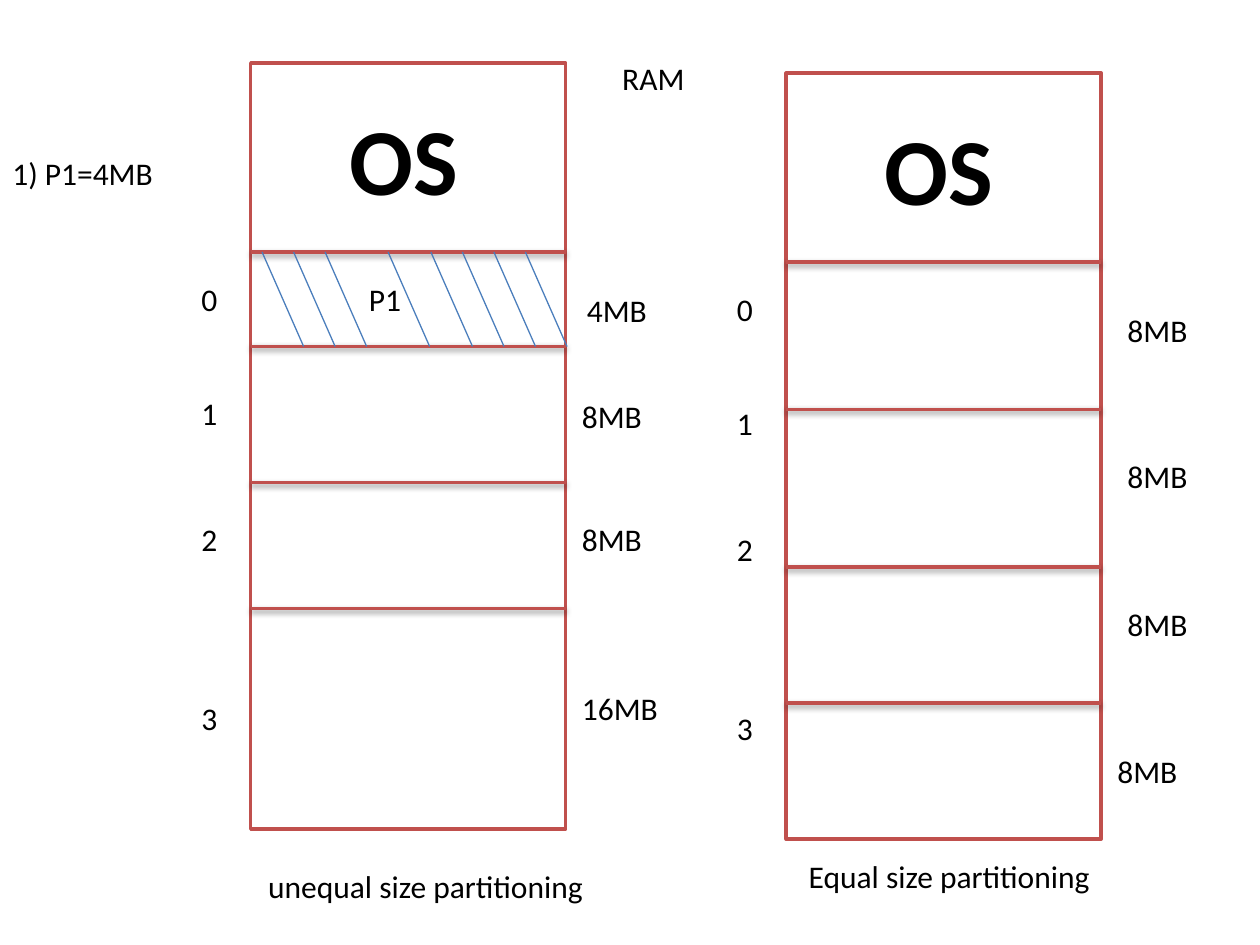
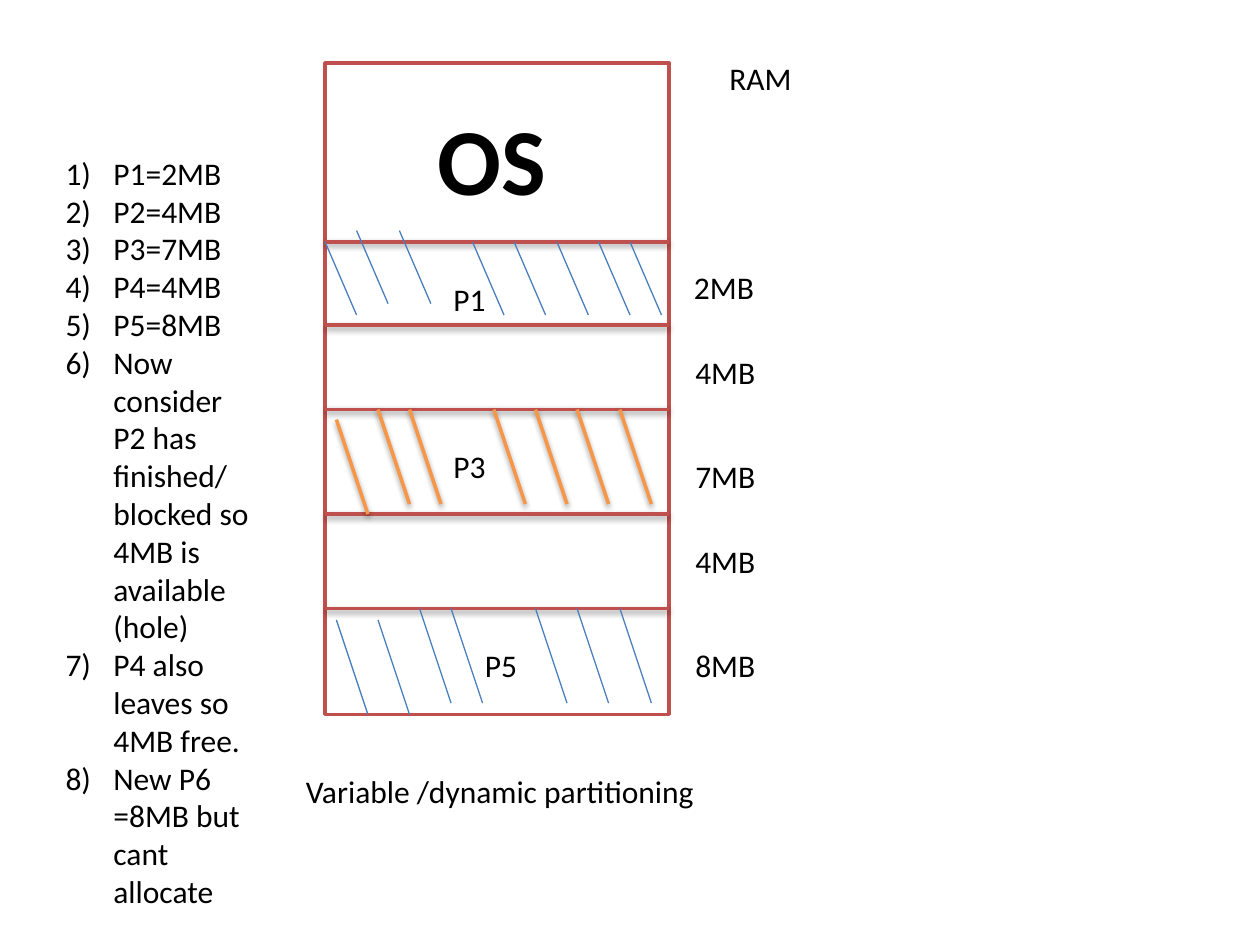
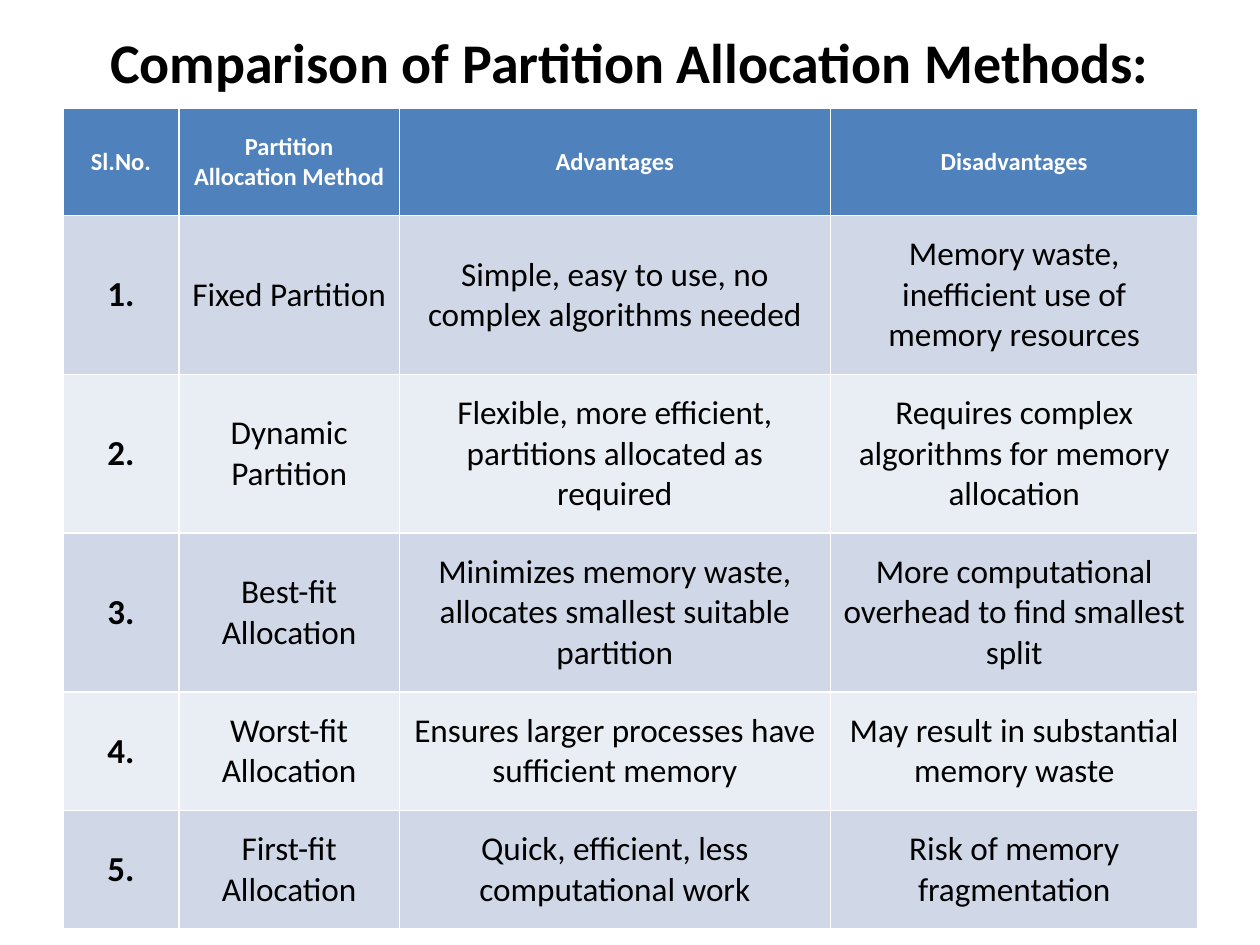
from dataclasses import dataclass
from typing import NamedTuple

from pptx import Presentation
from pptx.dml.color import RGBColor
from pptx.enum.shapes import MSO_CONNECTOR, MSO_SHAPE
from pptx.enum.text import MSO_ANCHOR, MSO_AUTO_SIZE, PP_ALIGN
from pptx.oxml import parse_xml
from pptx.oxml.ns import nsdecls
from pptx.util import Inches, Pt


@dataclass(frozen=True)
class Theme:
    font: str = "Calibri"
    ink: RGBColor = RGBColor(0x00, 0x00, 0x00)
    white: RGBColor = RGBColor(0xFF, 0xFF, 0xFF)
    red: RGBColor = RGBColor(0xC0, 0x50, 0x4D)
    blue: RGBColor = RGBColor(0x4B, 0x7E, 0xBC)
    orange: RGBColor = RGBColor(0xF7, 0x96, 0x46)
    header: RGBColor = RGBColor(0x4F, 0x81, 0xBD)
    band_dark: RGBColor = RGBColor(0xD0, 0xD8, 0xE8)
    band_light: RGBColor = RGBColor(0xE9, 0xED, 0xF4)
    os_size: int = 54
    title_size: int = 32
    number_size: int = 20
    cell_size: int = 19
    label_size: int = 18
    header_size: int = 14


THEME = Theme()


class Stroke(NamedTuple):
    color: RGBColor
    width: float
    shadow: bool


BORDER = Stroke(THEME.red, 2, True)
THIN = Stroke(THEME.blue, 0.75, False)
THICK = Stroke(THEME.orange, 2, True)


class Label(NamedTuple):
    text: str
    left: float
    top: float
    width: float = 0.9


class Hatch(NamedTuple):
    starts: list[float]
    top: float
    run: float
    drop: float
    stroke: Stroke = THIN


@dataclass(frozen=True)
class MemoryMap:
    left: float
    top: float
    width: float
    height: float
    dividers: list[float]
    labels: list[Label]


UNEQUAL = MemoryMap(1.99, 0.5, 2.5, 6.08, [2, 2.75, 3.83, 4.83], [
    Label("4MB", 4.56, 2.26),
    Label("8MB", 4.52, 3.1),
    Label("8MB", 4.52, 4.08),
    Label("16MB", 4.52, 5.42),
    Label("P1", 2.83, 2.17),
    Label("unequal size partitioning", 2.03, 6.83, 2.9),
])
EQUAL = MemoryMap(6.24, 0.58, 2.5, 6.08, [2.08, 3.25, 4.5, 5.58], [
    Label("8MB", 8.85, 2.42),
    Label("8MB", 8.85, 3.58),
    Label("8MB", 8.85, 4.75),
    Label("8MB", 8.77, 5.92),
    Label("Equal size partitioning", 6.32, 6.75, 2.9),
])
DYNAMIC = MemoryMap(2.58, 0.5, 2.73, 5.17, [1.92, 2.58, 3.25, 4.08, 4.83], [
    Label("2MB", 5.41, 2.08),
    Label("4MB", 5.42, 2.75),
    Label("7MB", 5.42, 3.58),
    Label("4MB", 5.42, 4.25),
    Label("8MB", 5.42, 5.08),
    Label("P1", 3.5, 2.17),
    Label("P3", 3.5, 3.5),
    Label("P5", 3.75, 5.08),
    Label("Variable /dynamic partitioning", 2.33, 6.08, 3.5),
])

FIXED_HATCH = Hatch([2.08, 2.33, 2.58, 3.08, 3.42, 3.67, 3.92, 4.17], 2, 0.33, 0.75)
DYNAMIC_HATCHES = [
    Hatch([2.58, 3.75, 4.08, 4.42, 4.75, 5], 1.92, 0.25, 0.58),
    Hatch([2.83, 3.17], 1.83, 0.25, 0.58),
    Hatch([2.67], 3.33, 0.25, 0.75, THICK),
    Hatch([3, 3.25, 3.92, 4.25, 4.58, 4.92], 3.25, 0.25, 0.75, THICK),
    Hatch([2.67, 3], 4.92, 0.25, 0.75),
    Hatch([3.33, 3.58, 4.25, 4.58, 4.92], 4.83, 0.25, 0.75),
]

NUMBER_OFFSETS = [1.67, 2.58, 3.58, 5]

STEPS = [
    "P1=2MB",
    "P2=4MB",
    "P3=7MB",
    "P4=4MB",
    "P5=8MB",
    "Now consider P2 has finished/ blocked so 4MB is available (hole)",
    "P4 also leaves so 4MB free.",
    "New P6 =8MB but cant allocate",
]

COLUMNS = [0.92, 1.75, 3.42, 2.92]
ROWS = [0.85, 0.94, 1.25, 1.25, 0.94, 0.94]
HEADINGS = ["Sl.No.", "Partition Allocation Method", "Advantages", "Disadvantages"]
METHODS = [
    ("Fixed Partition", "Simple, easy to use, no complex algorithms needed",
     "Memory waste, inefficient use of memory resources"),
    ("Dynamic Partition", "Flexible, more efficient, partitions allocated as required",
     "Requires complex algorithms for memory allocation"),
    ("Best-fit Allocation", "Minimizes memory waste, allocates smallest suitable partition",
     "More computational overhead to find smallest split"),
    ("Worst-fit Allocation", "Ensures larger processes have sufficient memory",
     "May result in substantial memory waste"),
    ("First-fit Allocation", "Quick, efficient, less computational work",
     "Risk of memory fragmentation"),
]


def write(p, text: str, *, size: float = THEME.label_size, bold: bool = False,
          color: RGBColor = THEME.ink, align: PP_ALIGN = PP_ALIGN.LEFT) -> None:
    p.alignment = align
    r = p.add_run()
    r.text = text
    r.font.name = THEME.font
    r.font.size = Pt(size)
    r.font.bold = bold
    r.font.color.rgb = color


def place(sp, left: float, top: float, width: float, height: float) -> None:
    sp.left, sp.top = Inches(left), Inches(top)
    sp.width, sp.height = Inches(width), Inches(height)


def add_label(s, label: Label, height: float = 0.4, **style) -> None:
    sp = s.shapes.add_textbox(Inches(label.left), Inches(label.top),
                              Inches(label.width), Inches(height))
    tf = sp.text_frame
    tf.word_wrap = True
    write(tf.paragraphs[0], label.text, **style)


def add_line(s, x1: float, y1: float, x2: float, y2: float, stroke: Stroke) -> None:
    line = s.shapes.add_connector(MSO_CONNECTOR.STRAIGHT, Inches(x1), Inches(y1),
                                  Inches(x2), Inches(y2))
    line.line.color.rgb = stroke.color
    line.line.width = Pt(stroke.width)
    shadow = ('<a:outerShdw blurRad="40000" dist="20000" dir="5400000" rotWithShape="0">'
              '<a:srgbClr val="000000"><a:alpha val="38000"/></a:srgbClr></a:outerShdw>'
              if stroke.shadow else "")
    line._element.spPr.append(
        parse_xml(f'<a:effectLst {nsdecls("a")}>{shadow}</a:effectLst>'))


def add_hatch(s, hatch: Hatch) -> None:
    for x in hatch.starts:
        add_line(s, x, hatch.top, x + hatch.run, hatch.top + hatch.drop, hatch.stroke)


def add_memory_map(s, memory: MemoryMap) -> None:
    sp = s.shapes.add_shape(MSO_SHAPE.RECTANGLE, Inches(memory.left), Inches(memory.top),
                            Inches(memory.width), Inches(memory.height))
    sp.shadow.inherit = False
    sp.fill.solid()
    sp.fill.fore_color.rgb = THEME.white
    sp.line.color.rgb = BORDER.color
    sp.line.width = Pt(BORDER.width)
    for y in memory.dividers:
        add_line(s, memory.left, y, memory.left + memory.width, y, BORDER)
    os_label = Label("OS", memory.left + 0.11 * memory.width, memory.top + 0.25,
                     0.75 * memory.width)
    add_label(s, os_label, 1.01, size=THEME.os_size, bold=True, align=PP_ALIGN.CENTER)
    for label in memory.labels:
        add_label(s, label)


def add_partition_numbers(s, memory: MemoryMap) -> None:
    for number, offset in enumerate(NUMBER_OFFSETS):
        add_label(s, Label(str(number), memory.left - 0.49, memory.top + offset, 0.33))


def add_steps(s) -> None:
    sp = s.placeholders[1]
    place(sp, 0.42, 1.17, 1.67, 6.3)
    tf = sp.text_frame
    tf.auto_size = MSO_AUTO_SIZE.NONE
    for i, step in enumerate(STEPS):
        p = tf.paragraphs[0] if i == 0 else tf.add_paragraph()
        pPr = p._p.get_or_add_pPr()
        pPr.set("marL", str(Inches(0.38)))
        pPr.set("indent", str(Inches(-0.38)))
        pPr.append(parse_xml(f'<a:buFont {nsdecls("a")} typeface="+mj-lt"/>'))
        pPr.append(parse_xml(f'<a:buAutoNum {nsdecls("a")} type="arabicParenR"/>'))
        p.space_before = Pt(0)
        write(p, step)


def fill_cell(cell, text: str, fill: RGBColor, side: float, edge: float, **style) -> None:
    cell.fill.solid()
    cell.fill.fore_color.rgb = fill
    cell.vertical_anchor = MSO_ANCHOR.MIDDLE
    cell.margin_left = cell.margin_right = Inches(side)
    cell.margin_top = cell.margin_bottom = Inches(edge)
    write(cell.text_frame.paragraphs[0], text, align=PP_ALIGN.CENTER, **style)


def add_comparison(s) -> None:
    table = s.shapes.add_table(len(ROWS), len(COLUMNS), Inches(0.5), Inches(0.86),
                               Inches(sum(COLUMNS)), Inches(sum(ROWS))).table
    for column, width in zip(table.columns, COLUMNS):
        column.width = Inches(width)
    for row, height in zip(table.rows, ROWS):
        row.height = Inches(height)
    for c, heading in enumerate(HEADINGS):
        fill_cell(table.cell(0, c), heading, THEME.header, 0.1 if c else 0.04, 0.1,
                  size=THEME.header_size, bold=True, color=THEME.white)
    for number, method in enumerate(METHODS, 1):
        fill = THEME.band_dark if number % 2 else THEME.band_light
        fill_cell(table.cell(number, 0), f"{number}.", fill, 0.04, 0.06,
                  size=THEME.number_size, bold=True)
        for c, text in enumerate(method, 1):
            fill_cell(table.cell(number, c), text, fill, 0.1, 0.15, size=THEME.cell_size)


def build_fixed(prs) -> None:
    s = prs.slides.add_slide(prs.slide_layouts[6])
    for memory in (UNEQUAL, EQUAL):
        add_memory_map(s, memory)
        add_partition_numbers(s, memory)
    add_label(s, Label("RAM", 4.84, 0.42))
    add_label(s, Label("1) P1=4MB", 0, 1.17, 1.4))
    add_hatch(s, FIXED_HATCH)


def build_dynamic(prs) -> None:
    s = prs.slides.add_slide(prs.slide_layouts[1])
    title = s.shapes.title._element
    title.getparent().remove(title)
    add_memory_map(s, DYNAMIC)
    add_label(s, Label("RAM", 5.69, 0.42))
    add_steps(s)
    for hatch in DYNAMIC_HATCHES:
        add_hatch(s, hatch)


def build_comparison(prs) -> None:
    s = prs.slides.add_slide(prs.slide_layouts[5])
    title = s.shapes.title
    place(title, 0.5, 0.3, 9, 0.37)
    tf = title.text_frame
    tf.auto_size = MSO_AUTO_SIZE.NONE
    tf.vertical_anchor = MSO_ANCHOR.MIDDLE
    write(tf.paragraphs[0], "Comparison of Partition Allocation Methods:",
          size=THEME.title_size, bold=True, align=PP_ALIGN.CENTER)
    add_comparison(s)


def main() -> None:
    prs = Presentation()
    prs.slide_width, prs.slide_height = Inches(10), Inches(7.5)
    build_fixed(prs)
    build_dynamic(prs)
    build_comparison(prs)
    prs.save("out.pptx")


if __name__ == "__main__":
    main()
